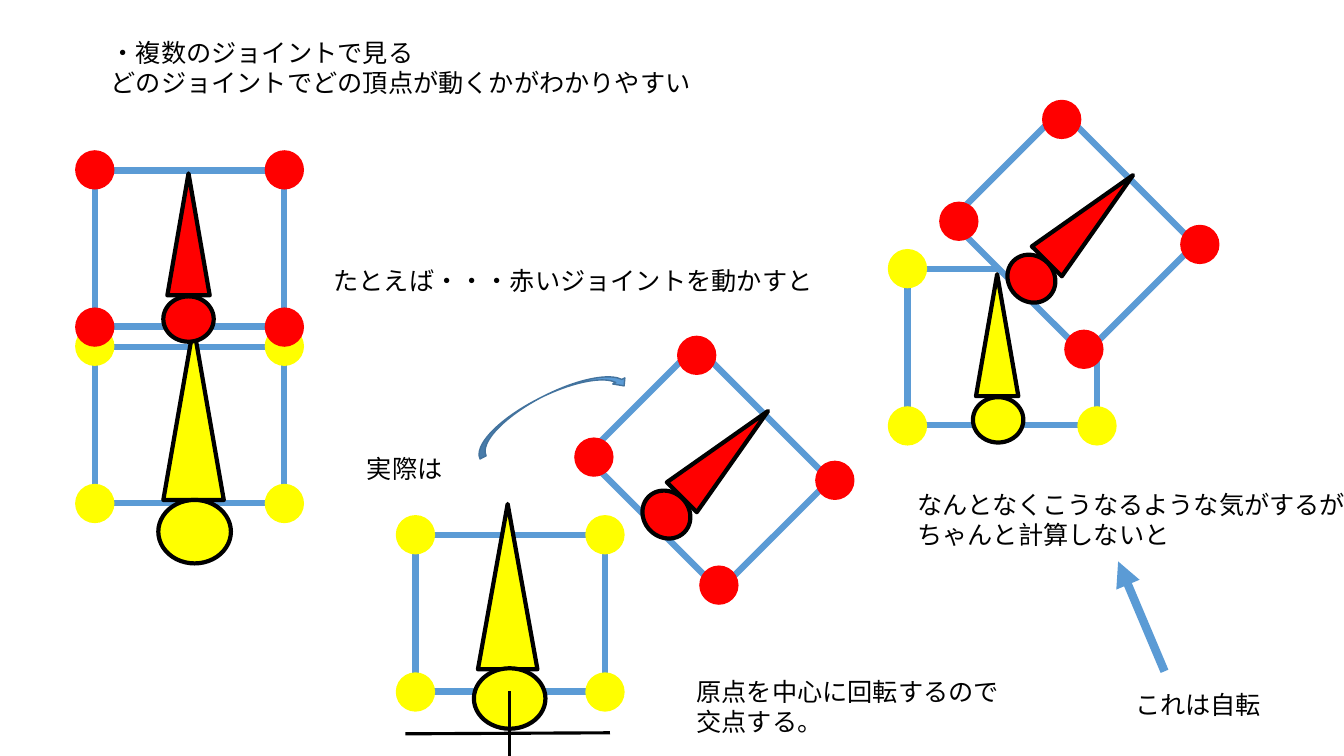
from lxml import etree
from pptx import Presentation
from pptx.dml.color import RGBColor
from pptx.enum.shapes import MSO_CONNECTOR, MSO_SHAPE as SHAPE
from pptx.enum.text import MSO_AUTO_SIZE
from pptx.oxml.ns import qn
from pptx.util import Emu, Pt

PX = 9144  # EMU per px, 100 px to the inch
FONT = "Noto Sans CJK JP"
RED = RGBColor(0xFF, 0x00, 0x00)
YELLOW = RGBColor(0xFF, 0xFF, 0x00)
BLUE = RGBColor(0x5B, 0x9B, 0xD5)
DARK_BLUE = RGBColor(0x43, 0x73, 0x9E)
BLACK = RGBColor(0x00, 0x00, 0x00)
WHITE = RGBColor(0xFF, 0xFF, 0xFF)

# Vertex frames: left, top, dot colour, rotation
FRAME_W, FRAME_H, DOT = 188, 155, 39
FRAMES = [
    (900, 267, YELLOW, 0),
    (94, 344, YELLOW, 0),
    (970, 153, RED, 45),
    (412, 531, YELLOW, 0),
    (608, 387, RED, 45),
    (94, 169, RED, 0),
]
# Dot centres measured from the frame centre
DOT_OFFSETS = {
    0: [(-94, -78), (94, -78), (-94, 78), (94, 78)],
    45: [(126, 12), (11, 116), (-11, -112), (-113, -11)],
}

# Joints: cone box, ball box, colour, rotation
JOINTS = [
    ((162, 324, 60, 172), (157, 496, 72, 63), YELLOW, 0),
    ((474, 500, 59, 164), (470, 663, 71, 60), YELLOW, 0),
    ((1060, 156, 42, 121), (998, 254, 50, 45), RED, 45),
    ((968, 272, 42, 121), (965, 394, 50, 45), YELLOW, 0),
    ((698, 390, 42, 121), (636, 488, 50, 45), RED, 45),
    ((166, 172, 42, 121), (162, 294, 50, 45), RED, 0),
]

# Captions: box, lines
CAPTIONS = [
    ((100, 32, 601, 71), ["・複数のジョイントで見る", "どのジョイントでどの頂点が動くかがわかりやすい"]),
    ((321, 258, 500, 40), ["たとえば・・・赤いジョイントを動かすと"]),
    ((354, 445, 96, 40), ["実際は"]),
    ((681, 666, 323, 71), ["原点を中心に回転するので", "交点する。"]),
    ((900, 480, 449, 71), ["なんとなくこうなるような気がするが", "ちゃんと計算しないと"]),
    ((1116, 679, 146, 40), ["これは自転"]),
]

SWING_ARROW = (461, 392, 167, 27)
SWING_ANGLE = 333.1

# Lines: start, end, colour, width in points, arrowhead
LINES = [
    ((1155, 666), (1109, 557), BLUE, 6, True),
    ((505, 686), (505, 750), BLACK, 2.25, False),
    ((402, 728), (605, 727), BLACK, 2.25, False),
]


def emu(values):
    return [Emu(round(v * PX)) for v in values]


def add_part(shapes, kind, box, fill=None, line=None, width=3, angle=0):
    sp = shapes.add_shape(kind, *emu(box))
    sp.shadow.inherit = False
    sp.rotation = angle
    if fill is None:
        sp.fill.background()
    else:
        sp.fill.solid()
        sp.fill.fore_color.rgb = fill
    if line is None:
        sp.line.fill.background()
    else:
        sp.line.color.rgb = line
        sp.line.width = Pt(width)
    return sp


def add_text(shapes, box, lines, size=18, color=BLACK):
    tf = shapes.add_textbox(*emu(box)).text_frame
    tf.word_wrap = False
    tf.auto_size = MSO_AUTO_SIZE.SHAPE_TO_FIT_TEXT
    for i, line in enumerate(lines):
        p = tf.add_paragraph() if i else tf.paragraphs[0]
        r = p.add_run()
        r.text = line
        r.font.size = Pt(size)
        r.font.color.rgb = color
        r.font.name = FONT
        etree.SubElement(r.font._element, qn("a:ea")).set("typeface", FONT)


def add_line(shapes, start, end, color, width, arrow):
    c = shapes.add_connector(MSO_CONNECTOR.STRAIGHT, *emu(start + end))
    c.line.color.rgb = color
    c.line.width = Pt(width)
    if arrow:
        head = etree.SubElement(c.line._get_or_add_ln(), qn("a:tailEnd"))
        head.set("type", "triangle")
    etree.SubElement(c._element.spPr, qn("a:effectLst"))


def add_frame(shapes, left, top, color, angle):
    group = shapes.add_group_shape().shapes
    add_part(group, SHAPE.RECTANGLE, (left, top, FRAME_W, FRAME_H),
             fill=WHITE if angle else None, line=BLUE, width=4.5, angle=angle)
    for dx, dy in DOT_OFFSETS[angle]:
        x = left + FRAME_W / 2 + dx - DOT / 2
        y = top + FRAME_H / 2 + dy - DOT / 2
        add_part(group, SHAPE.OVAL, (x, y, DOT, DOT), fill=color, angle=angle)


def add_joint(shapes, cone, ball, color, angle):
    group = shapes.add_group_shape().shapes
    for kind, box in ((SHAPE.ISOSCELES_TRIANGLE, cone), (SHAPE.OVAL, ball)):
        add_part(group, kind, box, fill=color, line=BLACK, angle=angle)


def main():
    prs = Presentation()
    prs.slide_width, prs.slide_height = emu((1333, 750))
    s = prs.slides.add_slide(prs.slide_layouts[6]).shapes

    # Vertex frames, then the joints over them
    for frame in FRAMES:
        add_frame(s, *frame)
    for joint in JOINTS:
        add_joint(s, *joint)

    # Captions, swing arrow, pointer and axes
    for box, lines in CAPTIONS:
        add_text(s, box, lines)
    add_part(s, SHAPE.CURVED_DOWN_ARROW, SWING_ARROW, fill=BLUE,
             line=DARK_BLUE, width=1, angle=SWING_ANGLE)
    for line in LINES:
        add_line(s, *line)

    prs.save("out.pptx")


if __name__ == "__main__":
    main()
